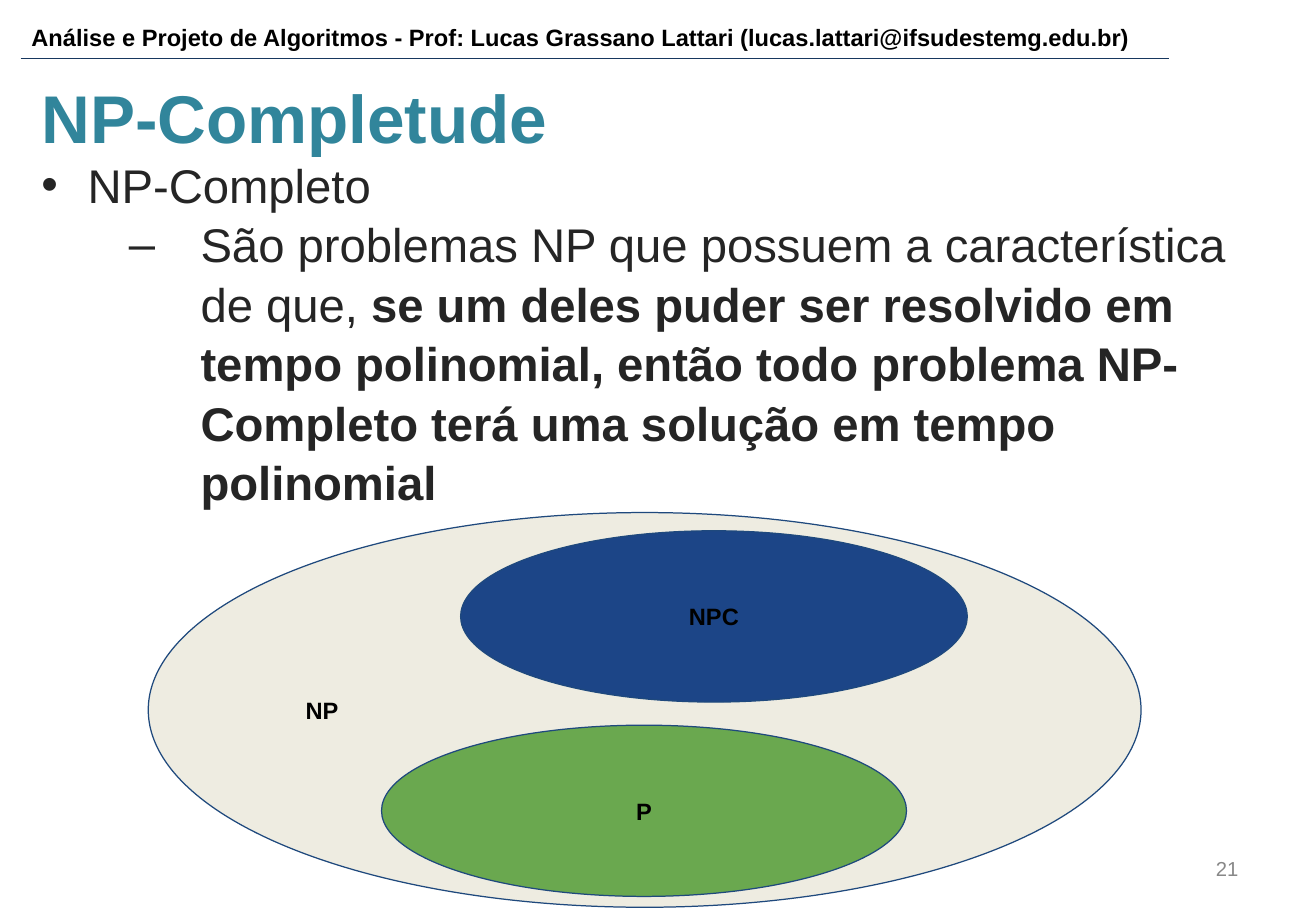
from typing import NamedTuple

from lxml import etree
from pptx import Presentation
from pptx import util as u
from pptx.dml.color import RGBColor
from pptx.enum import shapes, text
from pptx.oxml import ns

WIDE, HIGH = u.Inches(10.83), u.Inches(7.5)
NAVY, INK, GREY, BLACK = "1F497D", "252525", "888888", "000000"
LEFT, MID, RIGHT = text.PP_ALIGN.LEFT, text.PP_ALIGN.CENTER, text.PP_ALIGN.RIGHT
TOP, HALF = text.MSO_ANCHOR.TOP, text.MSO_ANCHOR.MIDDLE


class Box(NamedTuple):
    x: float
    y: float
    w: float
    h: float


class Run(NamedTuple):
    words: str
    size: int
    tint: str
    bold: bool = False


class Oval(NamedTuple):
    box: Box
    fill: str
    label: str
    side: text.PP_ALIGN = MID


class Item(NamedTuple):
    level: int
    mark: str
    left: float
    hang: float
    runs: list[Run]


OVALS = [
    Oval(Box(11.27, 56.27, 75.44, 43.33), "EEECE1", "NP", LEFT),
    Oval(Box(35, 58.27, 38.5, 18.8), "1C4587", "NPC"),
    Oval(Box(28.99, 79.6, 39.89, 18.8), "6AA84F", "P"),
]

ITEMS = [
    Item(0, "•", 0.38, 0.38, [Run("NP-Completo", 28, INK)]),
    Item(1, "–", 1.31, 0.59, [
        Run("São problemas NP que possuem a característica de que, ", 28, INK),
        Run("se um deles puder ser resolvido em tempo polinomial, então todo "
            "problema NP-Completo terá uma solução em tempo polinomial",
            28, INK, True),
    ]),
]


def tone(code: str) -> RGBColor:
    return RGBColor.from_string(code)


def across(share: float) -> int:
    return round(WIDE * share / 100)


def down(share: float) -> int:
    return round(HIGH * share / 100)


def place(box: Box) -> tuple[int, int, int, int]:
    return across(box.x), down(box.y), across(box.w), down(box.h)


def move(shape, box: Box) -> None:
    shape.left, shape.top, shape.width, shape.height = place(box)


def setup(frame, anchor=TOP, inset: float = 0.05) -> None:
    frame.word_wrap = True
    frame.auto_size = text.MSO_AUTO_SIZE.NONE
    frame.vertical_anchor = anchor
    frame.margin_left = frame.margin_right = u.Inches(0.1)
    frame.margin_top = frame.margin_bottom = u.Inches(inset)


def write(para, runs: list[Run], side=LEFT, gap: float = 1.0) -> None:
    para.alignment = side
    para.line_spacing = gap
    para.space_before = para.space_after = u.Pt(0)
    for part in runs:
        run = para.add_run()
        run.text = part.words
        run.font.name = "Arial"
        run.font.size = u.Pt(part.size)
        run.font.bold = part.bold
        run.font.color.rgb = tone(part.tint)


def bullet(para, item: Item) -> None:
    props = para._p.get_or_add_pPr()
    props.set("marL", str(u.Inches(item.left)))
    props.set("indent", str(-u.Inches(item.hang)))
    tint = etree.SubElement(props, ns.qn("a:buClr"))
    etree.SubElement(tint, ns.qn("a:srgbClr"), val=INK)
    etree.SubElement(props, ns.qn("a:buFont"), typeface="Arial")
    etree.SubElement(props, ns.qn("a:buChar"), char=item.mark)


def label(slide, box: Box, run: Run, side=LEFT, anchor=TOP) -> None:
    frame = slide.shapes.add_textbox(*place(box)).text_frame
    setup(frame, anchor)
    write(frame.paragraphs[0], [run], side)


def rule(slide, start: float, end: float, y: float) -> None:
    line = slide.shapes.add_connector(
        shapes.MSO_CONNECTOR.STRAIGHT, across(start), down(y), across(end), down(y))
    line.line.color.rgb = tone("17375E")
    line.line.width = u.Pt(0.75)
    etree.SubElement(line._element.spPr, ns.qn("a:effectLst"))


def draw(slide, oval: Oval) -> None:
    shape = slide.shapes.add_shape(shapes.MSO_SHAPE.OVAL, *place(oval.box))
    shape.shadow.inherit = False
    shape.fill.solid()
    shape.fill.fore_color.rgb = tone(oval.fill)
    shape.line.color.rgb = tone(NAVY)
    shape.line.width = u.Pt(0.75)
    setup(shape.text_frame, HALF, 0.1)
    write(shape.text_frame.paragraphs[0], [Run(oval.label, 14, BLACK, True)], oval.side)


def main() -> None:
    deck = Presentation()
    deck.slide_width, deck.slide_height = WIDE, HIGH
    slide = deck.slides.add_slide(deck.slide_layouts[1])

    title = slide.shapes.title
    move(title, Box(2.22, 6.93, 92.89, 9.2))
    setup(title.text_frame)
    write(title.text_frame.paragraphs[0],
          [Run("NP-Completude", 40, "31859B", True)], gap=1.08)

    body = slide.placeholders[1]
    move(body, Box(2.22, 16.13, 95.75, 67.07))
    frame = body.text_frame
    setup(frame)
    for spot, item in enumerate(ITEMS):
        para = frame.add_paragraph() if spot else frame.paragraphs[0]
        para.level = item.level
        write(para, item.runs, gap=1.05)
        bullet(para, item)

    label(slide, Box(1.48, 1.87, 88.92, 4), Run(
        "Análise e Projeto de Algoritmos - Prof: Lucas Grassano Lattari "
        "(lucas.lattari@ifsudestemg.edu.br)", 14, BLACK, True))
    rule(slide, 1.57, 88.83, 6.4)
    label(slide, Box(71.65, 92.67, 23.36, 5.33), Run("21", 12, GREY), RIGHT, HALF)
    for oval in OVALS:
        draw(slide, oval)
    deck.save("out.pptx")


if __name__ == "__main__":
    main()
